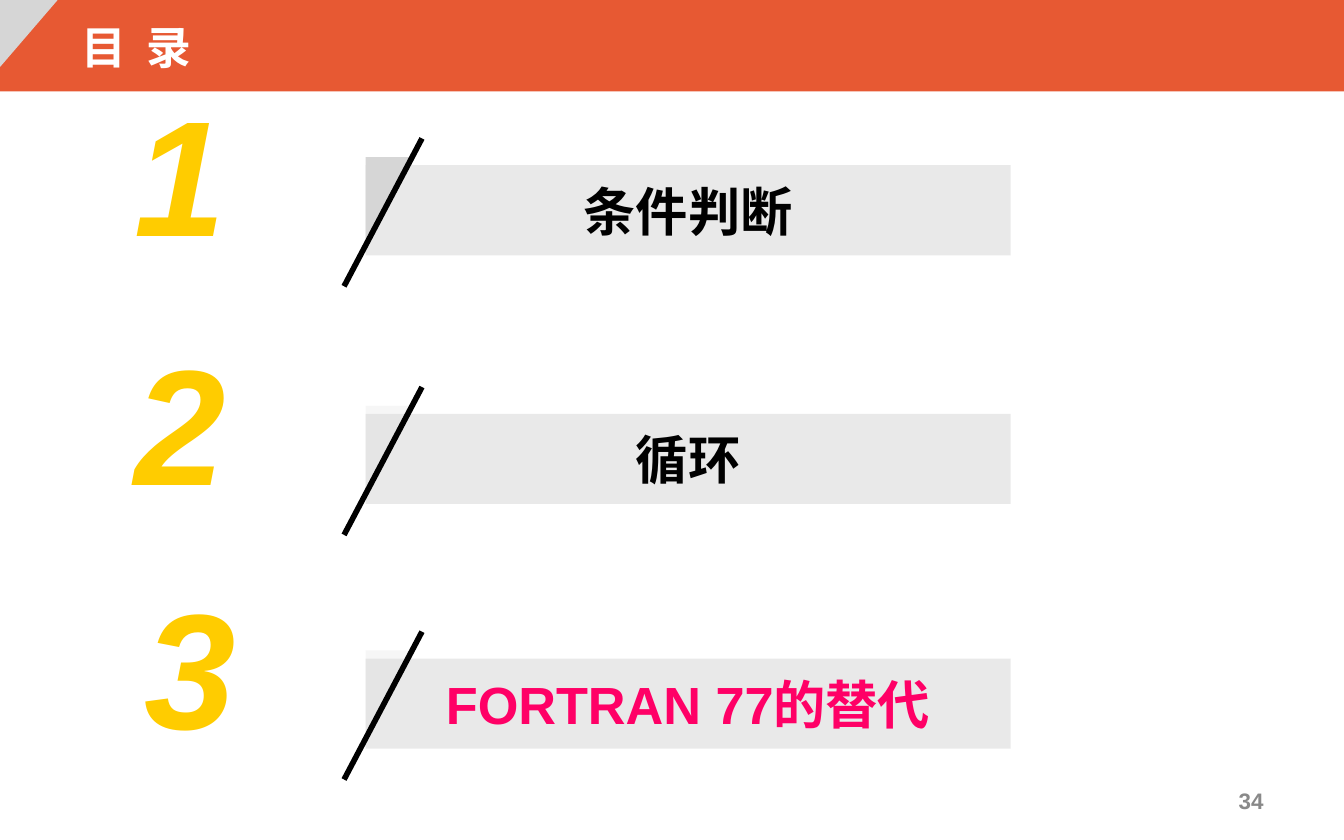
from lxml import etree
from pptx import Presentation
from pptx.dml.color import RGBColor
from pptx.enum.shapes import MSO_CONNECTOR, MSO_SHAPE
from pptx.enum.text import MSO_ANCHOR, PP_ALIGN
from pptx.oxml.ns import qn
from pptx.util import Inches, Pt

RECT, CORNER = MSO_SHAPE.RECTANGLE, MSO_SHAPE.RIGHT_TRIANGLE
STRAIGHT = MSO_CONNECTOR.STRAIGHT
TOP, MIDDLE = MSO_ANCHOR.TOP, MSO_ANCHOR.MIDDLE
LEFT, CENTER, RIGHT = PP_ALIGN.LEFT, PP_ALIGN.CENTER, PP_ALIGN.RIGHT

COLORS = {
    "orange": "E75933",
    "light": "D6D6D6",
    "gray": "949494",
    "gold": "FFCC00",
    "pink": "FF0066",
    "black": "000000",
    "white": "FFFFFF",
    "page": "898989",
}


class Deck:
    """Style and current slide of the contents page."""

    def __init__(self, slide):
        self.slide = slide

    def color(self, name):
        return RGBColor.from_string(COLORS[name])

    def letter(self, shape, text, size, color, align=LEFT, anchor=TOP,
               font="Arial", italic=False, gap=0):
        frame = shape.text_frame
        frame.word_wrap = True
        frame.vertical_anchor = anchor
        frame.text = text
        para = frame.paragraphs[0]
        para.alignment = align
        run = para.runs[0]
        run.font.name = font
        run.font.size = Pt(size)
        run.font.bold = True
        run.font.italic = italic
        run.font.color.rgb = self.color(color)
        if gap:
            run.font._element.set("spc", str(gap))

    def label(self, box, text, size, color, **style):
        shape = self.slide.shapes.add_textbox(*map(Inches, box))
        self.letter(shape, text, size, color, **style)

    def block(self, kind, box, color, alpha=100):
        shape = self.slide.shapes.add_shape(kind, *map(Inches, box))
        shape.shadow.inherit = False
        shape.fill.solid()
        shape.fill.fore_color.rgb = self.color(color)
        shape.line.fill.background()
        if alpha < 100:
            tint = shape._element.spPr.find(".//" + qn("a:srgbClr"))
            etree.SubElement(tint, qn("a:alpha")).set("val", str(alpha * 1000))
        return shape

    def corner(self, box, alpha=100):
        shape = self.block(CORNER, box, "light", alpha)
        shape._element.spPr.find(qn("a:xfrm")).set("flipV", "1")

    def slash(self, *ends):
        line = self.slide.shapes.add_connector(STRAIGHT, *map(Inches, ends))
        line.line.color.rgb = self.color("black")
        line.line.width = Pt(3)
        etree.SubElement(line._element.spPr, qn("a:effectLst"))

    def entry(self, number, title, top, left, color, alpha):
        self.label((left, top - 0.54, 2.88, 1.57), number, 88, "gold", italic=True)
        bar = self.block(RECT, (2.72, top + 0.2, 4.8, 0.67), "gray", 20)
        self.letter(bar, title, 28, color, align=CENTER, anchor=MIDDLE)
        self.corner((2.72, top + 0.14, 0.37, 0.66), alpha)
        self.slash(3.14, top, 2.56, top + 1.1)


def main():
    show = Presentation()
    show.slide_width, show.slide_height = Inches(10), Inches(6.25)
    deck = Deck(show.slides.add_slide(show.slide_layouts[6]))
    deck.block(RECT, (0, 0, 10, 0.68), "orange")
    deck.corner((0, 0, 0.43, 0.5))
    deck.label((0.51, 0.1, 3.39, 0.5), "目 录", 24, "white",
               font="Courier New", gap=270)
    entries = [
        ("1", "条件判断", 1.03, 0.9, "black", 100),
        ("2", "循环", 2.88, 0.9, "black", 20),
        ("3", "FORTRAN 77的替代", 4.7, 0.98, "pink", 20),
    ]
    for entry in entries:
        deck.entry(*entry)
    deck.label((7.17, 5.79, 2.33, 0.33), "34", 12, "page",
               align=RIGHT, anchor=MIDDLE)
    show.save("out.pptx")


if __name__ == "__main__":
    main()
